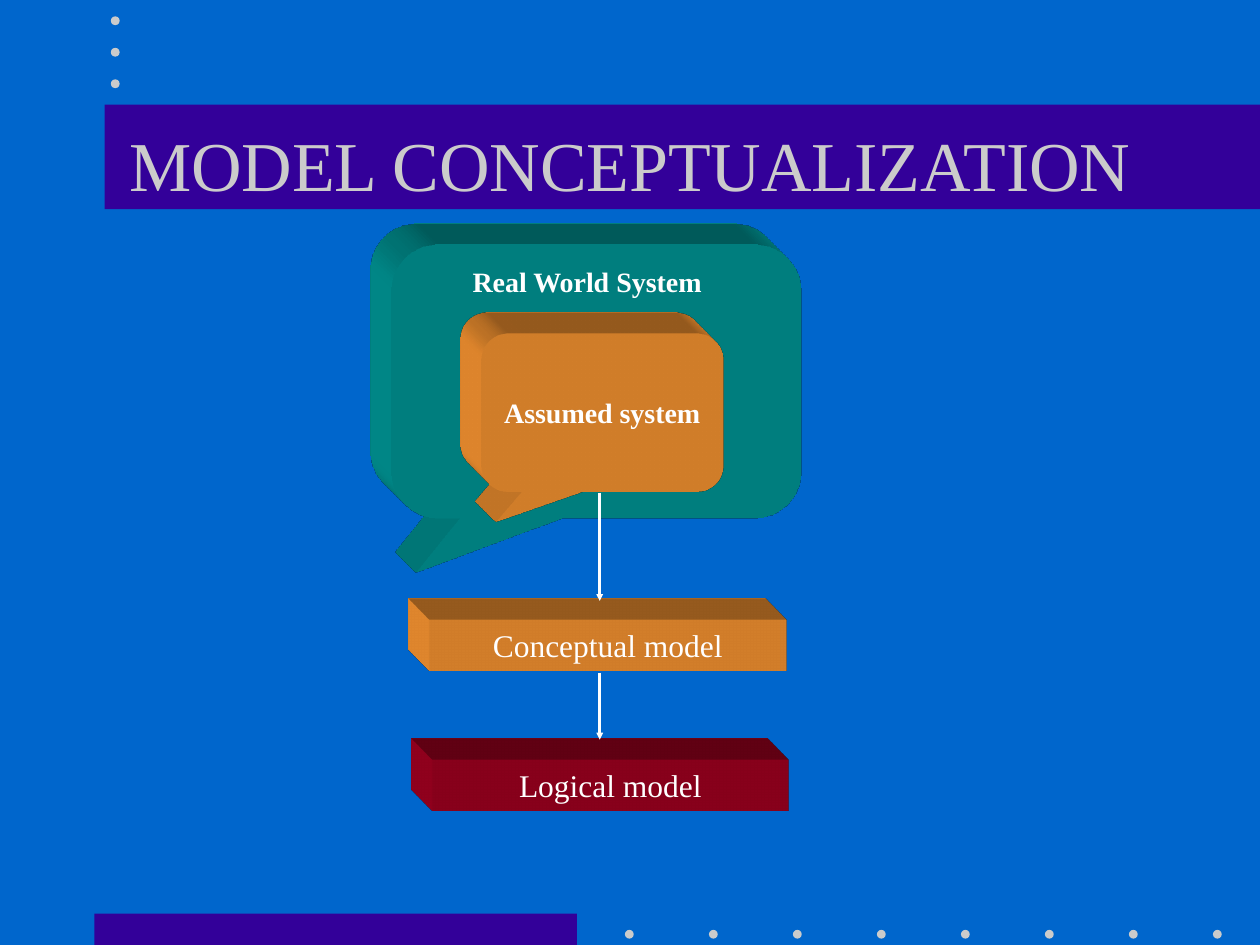
"""Build the Model Conceptualization slide."""
from lxml.etree import SubElement
from pptx import Presentation
from pptx.dml.color import RGBColor
from pptx.enum.shapes import MSO_CONNECTOR as CONN, MSO_SHAPE as SHAPE
from pptx.enum.text import MSO_ANCHOR as ANCHOR, PP_ALIGN as ALIGN
from pptx.oxml import parse_xml
from pptx.oxml.ns import nsdecls, qn
from pptx.util import Inches, Pt

BLUE = RGBColor(0x00, 0x66, 0xCC)
PURPLE = RGBColor(0x33, 0x00, 0x99)
GREY = RGBColor(0xCB, 0xCB, 0xCB)
TEAL = RGBColor(0x00, 0x99, 0x99)
ORANGE = RGBColor(0xFF, 0x99, 0x33)
RED = RGBColor(0xA5, 0x00, 0x21)
WHITE = RGBColor(0xFF, 0xFF, 0xFF)
FONT = "Times New Roman"

prs = Presentation()
prs.slide_width, prs.slide_height = Inches(10), Inches(7.5)
s = prs.slides.add_slide(prs.slide_layouts[5])
s.background.fill.solid()
s.background.fill.fore_color.rgb = BLUE


def add_shape(kind, box, color):
    sp = s.shapes.add_shape(kind, *map(Inches, box))
    sp.fill.solid()
    sp.fill.fore_color.rgb = color
    sp.line.fill.background()
    sp.shadow.inherit = False
    return sp


def write(sp, text, size, color=WHITE, bold=False, wrap=True):
    tf = sp.text_frame
    tf.word_wrap = wrap
    tf.vertical_anchor = ANCHOR.MIDDLE
    p = tf.paragraphs[0]
    p.alignment = ALIGN.CENTER
    r = p.add_run()
    r.text = text
    r.font.name, r.font.size, r.font.bold = FONT, Pt(size), bold
    r.font.color.rgb = color


add_shape(SHAPE.RECTANGLE, (0.75, 7.25, 3.83, 0.25), PURPLE)
add_shape(SHAPE.RECTANGLE, (0.83, 0.83, 9.17, 0.83), PURPLE)
dots = [(4.96 + i * 2 / 3, 7.38) for i in range(8)]
dots += [(0.88, 0.13 + i * 0.25) for i in range(3)]
for x, y in dots:
    add_shape(SHAPE.OVAL, (x, y, 0.07, 0.07), GREY)

title = s.shapes.title
s.shapes._spTree.append(title._element)
title.left, title.top = Inches(0.75), Inches(0.67)
title.width, title.height = Inches(8.5), Inches(1.25)
write(title, "MODEL CONCEPTUALIZATION", 40, GREY)

real = add_shape(SHAPE.ROUNDED_RECTANGULAR_CALLOUT, (3.11, 1.94, 3.25, 2.17), TEAL)
assumed = add_shape(SHAPE.ROUNDED_RECTANGULAR_CALLOUT, (3.82, 2.65, 1.92, 1.25), ORANGE)
conceptual = add_shape(SHAPE.RECTANGLE, (3.41, 4.92, 2.83, 0.4), ORANGE)
logical = add_shape(SHAPE.RECTANGLE, (3.43, 6.03, 2.83, 0.4), RED)

for sp, tail in ((real, 0.7), (assumed, 0.69)):
    for i, value in enumerate((-0.44, tail, 0.17)):
        sp.adjustments[i] = value

for sp in (real, assumed, conceptual, logical):
    spPr = sp._element.spPr
    spPr.append(parse_xml(
        f'<a:scene3d {nsdecls("a")}><a:camera prst="legacyObliqueTopLeft"/>'
        '<a:lightRig rig="legacyFlat3" dir="b"/></a:scene3d>'))
    spPr.append(parse_xml(
        f'<a:sp3d {nsdecls("a")} extrusionH="430200" prstMaterial="legacyMatte">'
        '<a:bevelT w="13500" h="13500" prst="angle"/>'
        '<a:bevelB w="13500" h="13500" prst="angle"/>'
        f'<a:extrusionClr><a:srgbClr val="{sp.fill.fore_color.rgb}"/></a:extrusionClr>'
        '</a:sp3d>'))

write(assumed, "Assumed system", 16, bold=True, wrap=False)
write(conceptual, "Conceptual model", 18)
write(logical, "Logical model", 18)
label = s.shapes.add_textbox(Inches(3.62), Inches(2.05), Inches(2.08), Inches(0.37))
write(label, "Real World System", 16, bold=True)

for top, bottom in ((3.91, 4.77), (5.34, 5.87)):
    line = s.shapes.add_connector(
        CONN.STRAIGHT, Inches(4.76), Inches(top), Inches(4.76), Inches(bottom))
    line.line.color.rgb = WHITE
    line.line.width = Pt(1.5)
    SubElement(line.line._get_or_add_ln(), qn("a:tailEnd"), type="triangle", w="sm", len="sm")
    SubElement(line._element.spPr, qn("a:effectLst"))

prs.save("out.pptx")
